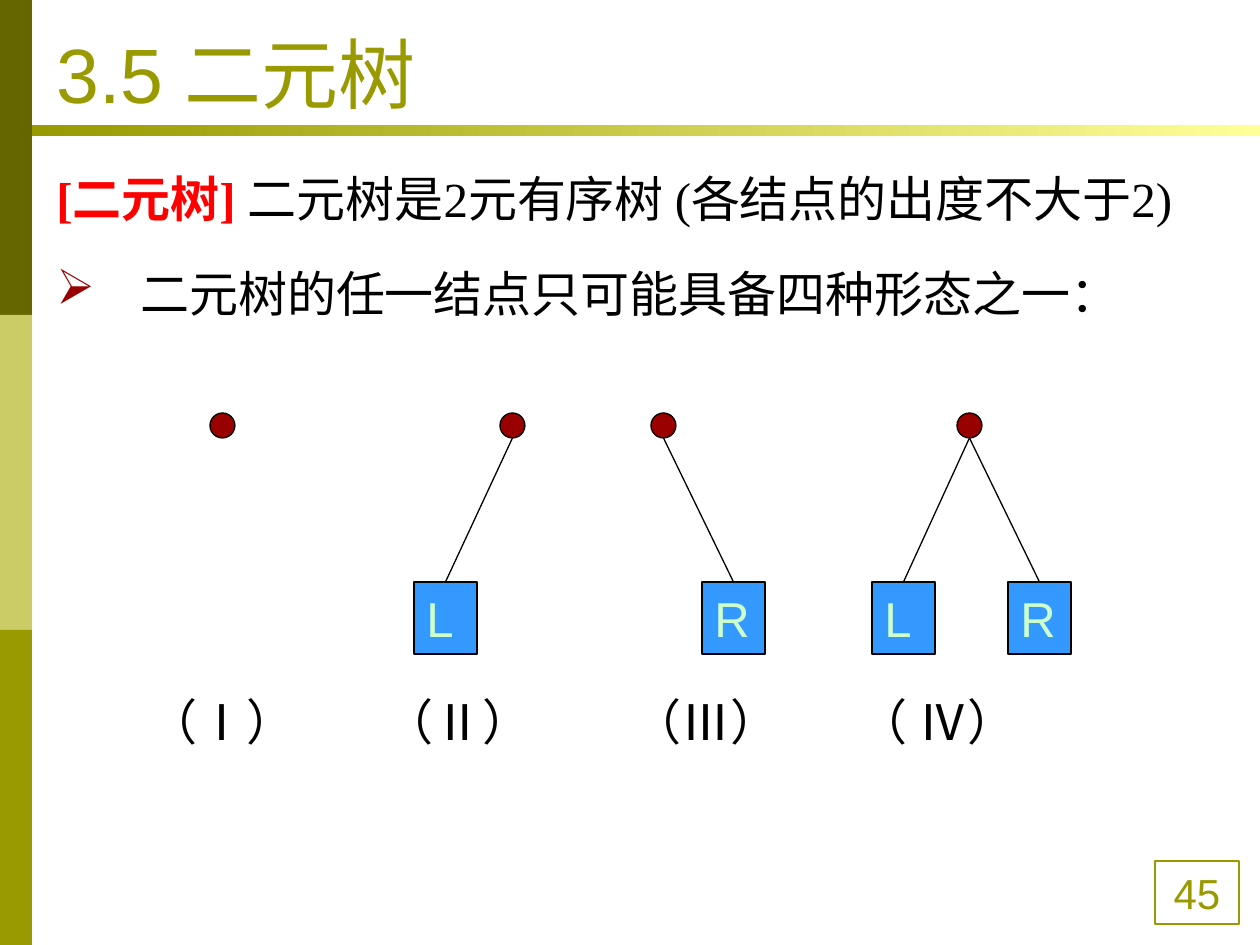
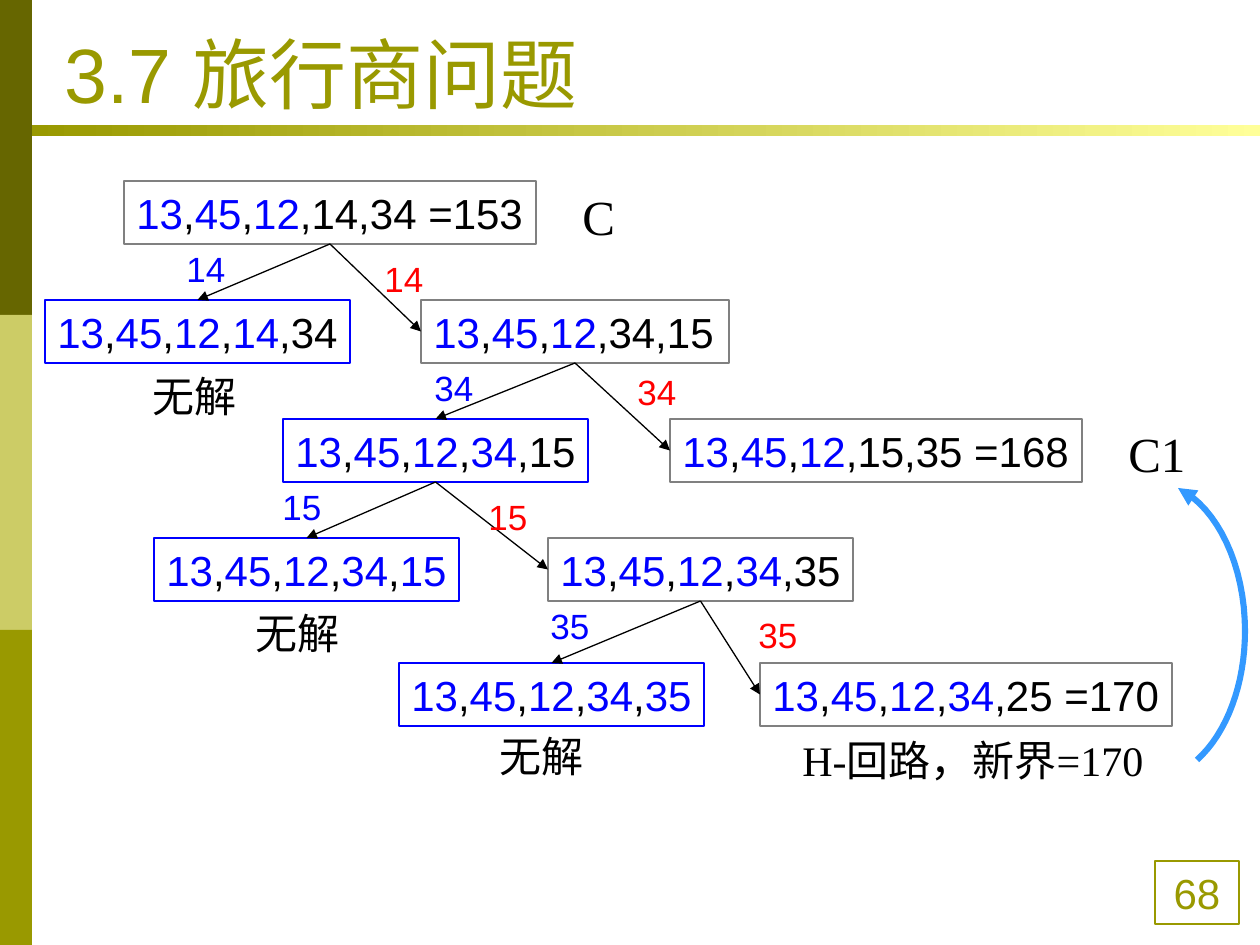
from lxml import etree
from pptx import Presentation
from pptx.dml.color import RGBColor
from pptx.enum.shapes import MSO_CONNECTOR, MSO_SHAPE
from pptx.enum.text import MSO_ANCHOR, PP_ALIGN
from pptx.oxml.ns import qn
from pptx.util import Pt

RECT, OVAL = MSO_SHAPE.RECTANGLE, MSO_SHAPE.OVAL
STRAIGHT = MSO_CONNECTOR.STRAIGHT
BOTTOM_ANCHOR, TOP_ANCHOR = MSO_ANCHOR.BOTTOM, MSO_ANCHOR.TOP
LEFT, CENTER = PP_ALIGN.LEFT, PP_ALIGN.CENTER
TOP_SIDE, LEFT_SIDE, BOTTOM_SIDE = 0, 1, 2

OLIVE = RGBColor(0x99, 0x99, 0x00)
DARK_OLIVE = RGBColor(0x66, 0x66, 0x00)
PALE_OLIVE = RGBColor(0xCC, 0xCC, 0x66)
PALE_YELLOW = RGBColor(0xFF, 0xFF, 0x99)
BLACK = RGBColor(0, 0, 0)
RED = RGBColor(0xFF, 0, 0)
BLUE = RGBColor(0, 0, 0xFF)
GRAY = RGBColor(0x80, 0x80, 0x80)
MAROON = RGBColor(0x99, 0, 0)
SKY = RGBColor(0x33, 0x99, 0xFF)
MINT = RGBColor(0xCC, 0xFF, 0xCC)
SANS, SERIF = "Arial", "Times New Roman"

WIDTH, HEIGHT = 1260, 945
BANDS = [DARK_OLIVE, PALE_OLIVE, OLIVE]
BAND_WIDTH = 32

DEFINITION = [("[二元树] ", RED, True), ("二元树是2元有序树 (各结点的出度不大于2)", BLACK, False)]
FORMS_INTRO = "二元树的任一结点只可能具备四种形态之一："
ROOT_TOP, ROOT_SIZE = 413, 25
SUBTREE_TOP, SUBTREE_WIDTH, SUBTREE_HEIGHT = 582, 63, 72
NODE_FORMS = [
    (210, []),
    (500, [("L", 414)]),
    (651, [("R", 702)]),
    (957, [("L", 872), ("R", 1008)]),
]
FORM_NUMBERS = ["（Ⅰ）", "（Ⅱ）", "（Ⅲ）", "（ Ⅳ）"]
FORM_TABS = [236, 484, 710]

LEVEL_TOPS = [181, 300, 419, 538, 663]
BOUND_HEIGHT, NARROW, WIDE = 63, 305, 412
BOUNDS = {
    "root": (0, 124, WIDE, "13,45,12", ",14,34 =153"),
    "with 14": (1, 45, NARROW, "13,45,12,14", ",34"),
    "without 14": (1, 421, 308, "13,45,12", ",34,15"),
    "with 34": (2, 283, NARROW, "13,45,12,34", ",15"),
    "without 34": (2, 670, WIDE, "13,45,12", ",15,35 =168"),
    "with 15": (3, 154, NARROW, "13,45,12,34,15", ""),
    "without 15": (3, 548, NARROW, "13,45,12,34", ",35"),
    "with 35": (4, 399, NARROW, "13,45,12,34,35", ""),
    "without 35": (4, 760, WIDE, "13,45,12,34", ",25 =170"),
}
BRANCHES = [
    ("root", "14", (174, 241), (372, 251)),
    ("without 14", "34", (422, 360), (625, 364)),
    ("with 34", "15", (270, 479), (476, 489)),
    ("without 15", "35", (538, 598), (746, 607)),
]
REMARKS = [
    ("无解", 140, 364, 134, 24, SANS),
    ("无解", 243, 601, 134, 24, SANS),
    ("无解", 487, 724, 134, 24, SANS),
    ("H-回路，新界=170", 790, 728, 396, 24, SERIF),
    ("C", 570, 180, 58, 28, SERIF),
    ("C1", 1116, 417, 90, 28, SERIF),
]
UPDATE_START = (1197, 760)
UPDATE_CURVES = [
    [(1227, 733), (1245, 684), (1245, 631)],
    [(1245, 566), (1218, 508), (1178, 488)],
]
CURVE_STEPS = 16


def px(length):
    return round(length * 914400 / 126)


def place(*lengths):
    return [px(length) for length in lengths]


def add_runs(paragraph, runs, size, font):
    for text, color, bold in runs:
        run = paragraph.add_run()
        run.text = text
        run.font.size = Pt(size)
        run.font.name = font
        run.font.bold = bold
        run.font.color.rgb = color


def write(shape, runs, size, font, align=LEFT, anchor=TOP_ANCHOR, wrap=True):
    frame = shape.text_frame
    frame.word_wrap = wrap
    frame.vertical_anchor = anchor
    paragraph = frame.paragraphs[0]
    paragraph.alignment = align
    add_runs(paragraph, runs, size, font)
    return paragraph


def add_text(slide, box, runs, size, font, **layout):
    return write(slide.shapes.add_textbox(*place(*box)), runs, size, font, **layout)


def add_box(slide, kind, box, fill=None, outline=None):
    shape = slide.shapes.add_shape(kind, *place(*box))
    shape.shadow.inherit = False
    if fill is None:
        shape.fill.background()
    else:
        shape.fill.solid()
        shape.fill.fore_color.rgb = fill
    if outline is None:
        shape.line.fill.background()
    else:
        shape.line.color.rgb = outline
        shape.line.width = Pt(0.75)
    return shape


def add_line(slide, start=(0, 0), end=(0, 0)):
    line = slide.shapes.add_connector(STRAIGHT, *place(*start, *end))
    line.line.color.rgb = BLACK
    line.line.width = Pt(0.75)
    etree.SubElement(line._element.spPr, qn("a:effectLst"))
    return line


def add_arrowhead(shape):
    etree.SubElement(shape.line._get_or_add_ln(), qn("a:tailEnd"), type="triangle")


def add_frame(deck, title, title_left, number):
    slide = deck.slides.add_slide(deck.slide_layouts[6])
    band_height = HEIGHT // len(BANDS)
    for i, color in enumerate(BANDS):
        add_box(slide, RECT, (0, i * band_height, BAND_WIDTH, band_height), color)
    rule = add_box(slide, RECT, (BAND_WIDTH, 125, WIDTH - BAND_WIDTH, 11), OLIVE)
    rule.fill.gradient()
    rule.fill.gradient_angle = 0
    for stop, color in zip(rule.fill.gradient_stops, (OLIVE, PALE_YELLOW)):
        stop.color.rgb = color
    page = add_box(slide, RECT, (1155, 861, 84, 63), outline=OLIVE)
    write(page, [(number, OLIVE, False)], 24, SANS, align=CENTER)
    add_text(slide, (title_left, 16, 1134, 109), [(title, OLIVE, False)], 44, SANS,
             anchor=BOTTOM_ANCHOR)
    return slide


def add_bullet(paragraph):
    properties = paragraph._p.get_or_add_pPr()
    color = etree.SubElement(properties, qn("a:buClr"))
    etree.SubElement(color, qn("a:srgbClr"), val=str(MAROON))
    etree.SubElement(properties, qn("a:buChar"), char="➢")


def build_binary_tree(deck):
    slide = add_frame(deck, "3.5 二元树", 44, "45")
    body = slide.shapes.add_textbox(*place(44, 145, 1181, 261))
    definition = write(body, DEFINITION, 28, SERIF)
    intro = body.text_frame.add_paragraph()
    add_bullet(intro)
    intro.space_before = Pt(10.5)
    add_runs(intro, [(FORMS_INTRO, BLACK, False)], 28, SERIF)
    for paragraph in (definition, intro):
        paragraph.line_spacing = 1.3
        properties = paragraph._p.get_or_add_pPr()
        properties.set("marL", str(px(84)))
        properties.set("indent", str(px(-84)))

    for root_left, subtrees in NODE_FORMS:
        add_box(slide, OVAL, (root_left, ROOT_TOP, ROOT_SIZE, ROOT_SIZE), MAROON, BLACK)
        root_foot = (root_left + ROOT_SIZE / 2, ROOT_TOP + ROOT_SIZE)
        for name, left in subtrees:
            subtree = add_box(slide, RECT, (left, SUBTREE_TOP, SUBTREE_WIDTH, SUBTREE_HEIGHT),
                              SKY, BLACK)
            write(subtree, [(name, MINT, False)], 28, SANS)
            add_line(slide, end=root_foot).begin_connect(subtree, TOP_SIDE)

    numbers = add_text(slide, (136, 685, 945, 72),
                       [("\t".join(FORM_NUMBERS), BLACK, False)], 28, SERIF)
    tabs = etree.SubElement(numbers._p.get_or_add_pPr(), qn("a:tabLst"))
    for position in FORM_TABS:
        etree.SubElement(tabs, qn("a:tab"), pos=str(px(position)), algn="l")


def bound_runs(fixed, rest):
    runs = []
    for i, edge in enumerate(fixed.split(",")):
        if i:
            runs.append((",", BLACK, False))
        runs.append((edge, BLUE, False))
    if rest:
        runs.append((rest, BLACK, False))
    return runs


def curve_points(start, curves):
    for first, second, end in curves:
        for step in range(1, CURVE_STEPS + 1):
            t = step / CURVE_STEPS
            weights = ((1 - t) ** 3, 3 * t * (1 - t) ** 2, 3 * t * t * (1 - t), t ** 3)
            corners = (start, first, second, end)
            yield tuple(px(sum(w * corner[axis] for w, corner in zip(weights, corners)))
                        for axis in (0, 1))
        start = end


def build_salesman(deck):
    slide = add_frame(deck, "3.7 旅行商问题", 52, "68")
    bounds = {}
    for name, (level, left, width, fixed, rest) in BOUNDS.items():
        outline = BLUE if name.startswith("with ") else GRAY
        bounds[name] = add_box(slide, RECT, (left, LEVEL_TOPS[level], width, BOUND_HEIGHT),
                               outline=outline)
        write(bounds[name], bound_runs(fixed, rest), 24, SANS, wrap=False)

    for parent, edge, with_at, without_at in BRANCHES:
        for choice, side, color, label_at in (("with", TOP_SIDE, BLUE, with_at),
                                              ("without", LEFT_SIDE, RED, without_at)):
            arrow = add_line(slide)
            arrow.begin_connect(bounds[parent], BOTTOM_SIDE)
            arrow.end_connect(bounds[f"{choice} {edge}"], side)
            add_arrowhead(arrow)
            add_text(slide, (*label_at, 64, 55), [(edge, color, False)], 20, SANS, wrap=False)

    for text, left, top, width, size, font in REMARKS:
        add_text(slide, (left, top, width, 63), [(text, BLACK, False)], size, font)

    builder = slide.shapes.build_freeform(*place(*UPDATE_START))
    builder.add_line_segments(list(curve_points(UPDATE_START, UPDATE_CURVES)), close=False)
    update = builder.convert_to_shape()
    update.shadow.inherit = False
    update.fill.background()
    update.line.color.rgb = SKY
    update.line.width = Pt(3.5)
    add_arrowhead(update)


def main():
    deck = Presentation()
    deck.slide_width, deck.slide_height = place(WIDTH, HEIGHT)
    build_binary_tree(deck)
    build_salesman(deck)
    deck.save("out.pptx")


if __name__ == "__main__":
    main()
